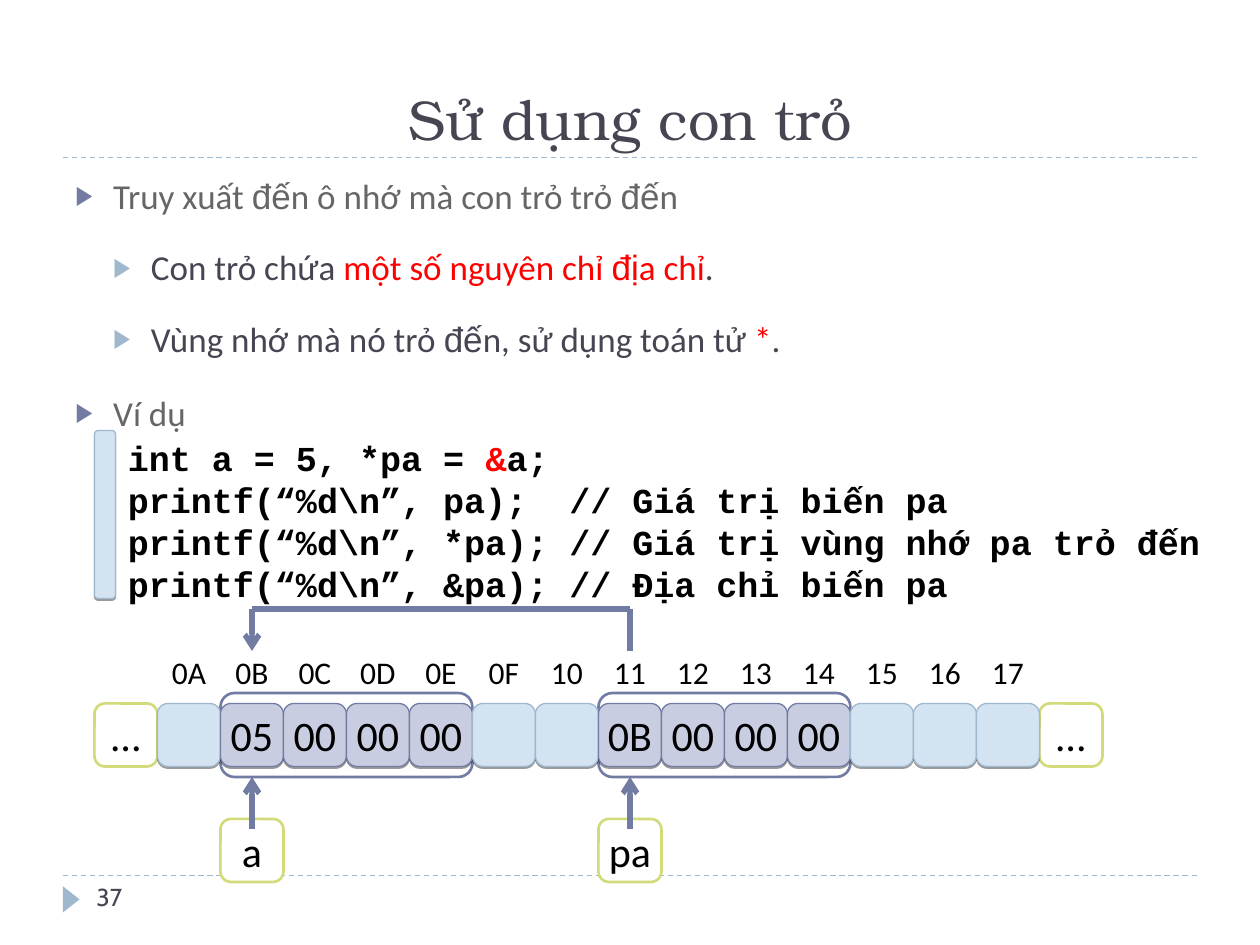
from lxml import etree
from pptx import Presentation
from pptx import util as u
from pptx.dml import color
from pptx.enum import dml, shapes, text
from pptx.oxml import ns

INK, GRAY, RED, BLACK = "464653", "666666", "FF0000", "000000"
INDIGO, STEEL, LIME = "727CA3", "9FB8CD", "D2DA7A"
BODY, CODE = "Calibri", "Courier New"
CELL_STYLES = {
    "empty": {"fill": "D3E3F2", "line": STEEL, "weight": 0.75, "shadow": True},
    "value": {"fill": "C9CDE2", "line": INDIGO, "weight": 0.75, "shadow": True},
    "plain": {"fill": "FFFFFF", "line": LIME, "weight": 1.5},
    "frame": {"line": INDIGO, "weight": 1.5},
    "label": {},
}


def rgb(value):
    return color.RGBColor.from_string(value)


def apply(target, values):
    for name, value in values.items():
        setattr(target, name, value)


def add_child(parent, tag, **attributes):
    child = etree.SubElement(parent, ns.qn(tag))
    for name, value in attributes.items():
        child.set(name, str(value))
    return child


def add_runs(paragraph, runs, size, bold=False):
    for words, face, shade in runs:
        run = paragraph.add_run()
        run.text = words
        apply(run.font, {"name": face, "size": u.Pt(size), "bold": bold})
        run.font.color.rgb = rgb(shade)


def add_frame(slide, box, anchor=text.MSO_ANCHOR.TOP):
    frame = slide.shapes.add_textbox(*map(u.Pt, box)).text_frame
    apply(frame, {"word_wrap": True, "vertical_anchor": anchor})
    return frame


def add_line(slide, start, end, shade, weight, dash=None, arrow=False):
    line = slide.shapes.add_connector(
        shapes.MSO_CONNECTOR.STRAIGHT, *map(u.Pt, (*start, *end)))
    line.line.color.rgb = rgb(shade)
    apply(line.line, {"width": u.Pt(weight), "dash_style": dash})
    if arrow:
        add_child(line.line._get_or_add_ln(), "a:tailEnd", type="arrow")
    add_child(line._element.spPr, "a:effectLst")


def add_block(slide, box, style, words="", size=24,
              kind=shapes.MSO_SHAPE.ROUNDED_RECTANGLE):
    block = slide.shapes.add_shape(kind, *map(u.Pt, box))
    block.shadow.inherit = False
    if "fill" in style:
        block.fill.solid()
        block.fill.fore_color.rgb = rgb(style["fill"])
    else:
        block.fill.background()
    if "line" in style:
        block.line.color.rgb = rgb(style["line"])
        block.line.width = u.Pt(style["weight"])
    else:
        block.line.fill.background()
    if style.get("shadow"):
        effects = block._element.spPr.find(ns.qn("a:effectLst"))
        shadow = add_child(effects, "a:outerShdw", blurRad=0, dist=u.Pt(1),
                           dir=5400000, rotWithShape=0)
        add_child(add_child(shadow, "a:srgbClr", val=BLACK), "a:alpha", val=40000)
    if words:
        apply(block.text_frame, {"word_wrap": False,
                                 "vertical_anchor": text.MSO_ANCHOR.MIDDLE})
        paragraph = block.text_frame.paragraphs[0]
        paragraph.alignment = text.PP_ALIGN.CENTER
        add_runs(paragraph, [(words, BODY, BLACK)], size)
    return block


def add_title(slide, box):
    left, top, width, height = box
    rule = top + height
    add_line(slide, (left, rule), (left + width, rule), STEEL, 0.75,
             dml.MSO_LINE.DASH)
    heading = add_frame(slide, box, text.MSO_ANCHOR.BOTTOM).paragraphs[0]
    heading.alignment = text.PP_ALIGN.CENTER
    add_runs(heading, [("Sử dụng con trỏ", "TeX Gyre Bonum", INK)], 32)


def add_points(slide, box):
    points = [
        (0, [("Truy xuất ", BODY, GRAY), ("đế", "Arial", GRAY),
             ("n ô nhớ mà con trỏ trỏ ", BODY, GRAY), ("đế", "Arial", GRAY),
             ("n", BODY, GRAY)]),
        (1, [("Con trỏ chứa ", BODY, INK), ("một số nguyên chỉ ", BODY, RED),
             ("đị", "Arial", RED), ("a chỉ", BODY, RED), (".", BODY, INK)]),
        (1, [("Vùng nhớ mà nó trỏ ", BODY, INK), ("đế", "Arial", INK),
             ("n, sử dụng toán tử ", BODY, INK), ("*", BODY, RED),
             (".", BODY, INK)]),
        (0, [("Ví dụ", BODY, GRAY)]),
    ]
    frame = add_frame(slide, box)
    for index, (level, runs) in enumerate(points):
        point = frame.add_paragraph() if index else frame.paragraphs[0]
        props = point._p.get_or_add_pPr()
        props.set("marL", str(u.Pt(21.6 * (level + 1))))
        props.set("indent", str(u.Pt(-21.6)))
        add_child(add_child(props, "a:buClr"), "a:srgbClr",
                  val=(INDIGO, STEEL)[level])
        add_child(props, "a:buSzPct", val=76000)
        add_child(props, "a:buFont", typeface="Arial")
        add_child(props, "a:buChar", char="▶")
        apply(point, {"level": level, "line_spacing": 1.5,
                      "space_before": u.Pt(6 - level if index else 0)})
        add_runs(point, runs, 20)


def add_code(slide, box):
    left, top, width, height = box
    bar = 12
    add_block(slide, (left, top, bar, 96), CELL_STYLES["empty"])
    lines = [
        [("int a = 5, *pa = ", CODE, BLACK), ("&", CODE, RED), ("a;", CODE, BLACK)],
        [("printf(“%d\\n”, pa);  // Giá trị biến pa", CODE, BLACK)],
        [("printf(“%d\\n”, *pa); // Giá trị vùng nhớ pa trỏ đến", CODE, BLACK)],
        [("printf(“%d\\n”, &pa); // Địa chỉ biến pa", CODE, BLACK)],
    ]
    frame = add_frame(slide, (left + bar, top, width - bar, height))
    for index, runs in enumerate(lines):
        line = frame.add_paragraph() if index else frame.paragraphs[0]
        add_runs(line, runs, 20, bold=True)


def add_memory(slide, box):
    left, top, width, height = box
    addresses = "0A 0B 0C 0D 0E 0F 10 11 12 13 14 15 16 17".split()
    variables = {"a": ("0B", "05 00 00 00"), "pa": ("11", "0B 00 00 00")}
    side = width / (len(addresses) + 2)
    labels, cells, names = top + 18, top + 54, top + height - side
    pad = 6
    frame_bottom = cells + side + pad
    slots = {address: left + side * index
             for index, address in enumerate(addresses, 1)}
    values, centers = {}, {}

    for name, (address, data) in variables.items():
        start = addresses.index(address)
        data = data.split()
        values.update(zip(addresses[start:], data))
        x = slots[address]
        centers[name] = x + side / 2
        add_block(slide, (x, cells - pad, side * len(data), side + 2 * pad),
                  CELL_STYLES["frame"])
        add_block(slide, (x, names, side, side), CELL_STYLES["plain"], name)
        add_line(slide, (centers[name], names + pad),
                 (centers[name], frame_bottom), INDIGO, 3, arrow=True)

    for x in (left, left + width - side):
        add_block(slide, (x, cells, side, side), CELL_STYLES["plain"], "…")
    for address, x in slots.items():
        add_block(slide, (x, labels, side, side), CELL_STYLES["label"], address, 18)
        style = CELL_STYLES["value" if address in values else "empty"]
        add_block(slide, (x, cells, side, side), style, values.get(address, ""))

    source, target = centers["pa"], centers["a"]
    add_line(slide, (source, top + 24), (source, top), INDIGO, 3)
    add_line(slide, (source, top), (target, top), INDIGO, 3)
    add_line(slide, (target, top), (target, top + 24), INDIGO, 3, arrow=True)


def add_footer(slide, box):
    left, top, width, height = box
    add_line(slide, (left, top), (left + width, top), STEEL, 0.75,
             dml.MSO_LINE.DASH)
    marker = add_block(slide, (left - 2.8, top + 8.8, 15, 9.5), {"fill": STEEL},
                       kind=shapes.MSO_SHAPE.ISOSCELES_TRIANGLE)
    marker.rotation = 90
    number = add_frame(slide, (left + 12, top, 156, height)).paragraphs[0]
    add_runs(number, [("37", "Cabin", INK)], 14)


def main():
    deck = Presentation()
    apply(deck, {"slide_width": u.Pt(720), "slide_height": u.Pt(540)})
    slide = deck.slides.add_slide(deck.slide_layouts[6])
    add_footer(slide, (36, 500.4, 648, 28.8))
    add_title(slide, (36, 12, 648, 78))
    add_points(slide, (36, 84, 648, 378))
    add_code(slide, (54, 246, 666, 104))
    add_memory(slide, (54, 348, 576, 156))
    deck.save("out.pptx")


if __name__ == "__main__":
    main()
